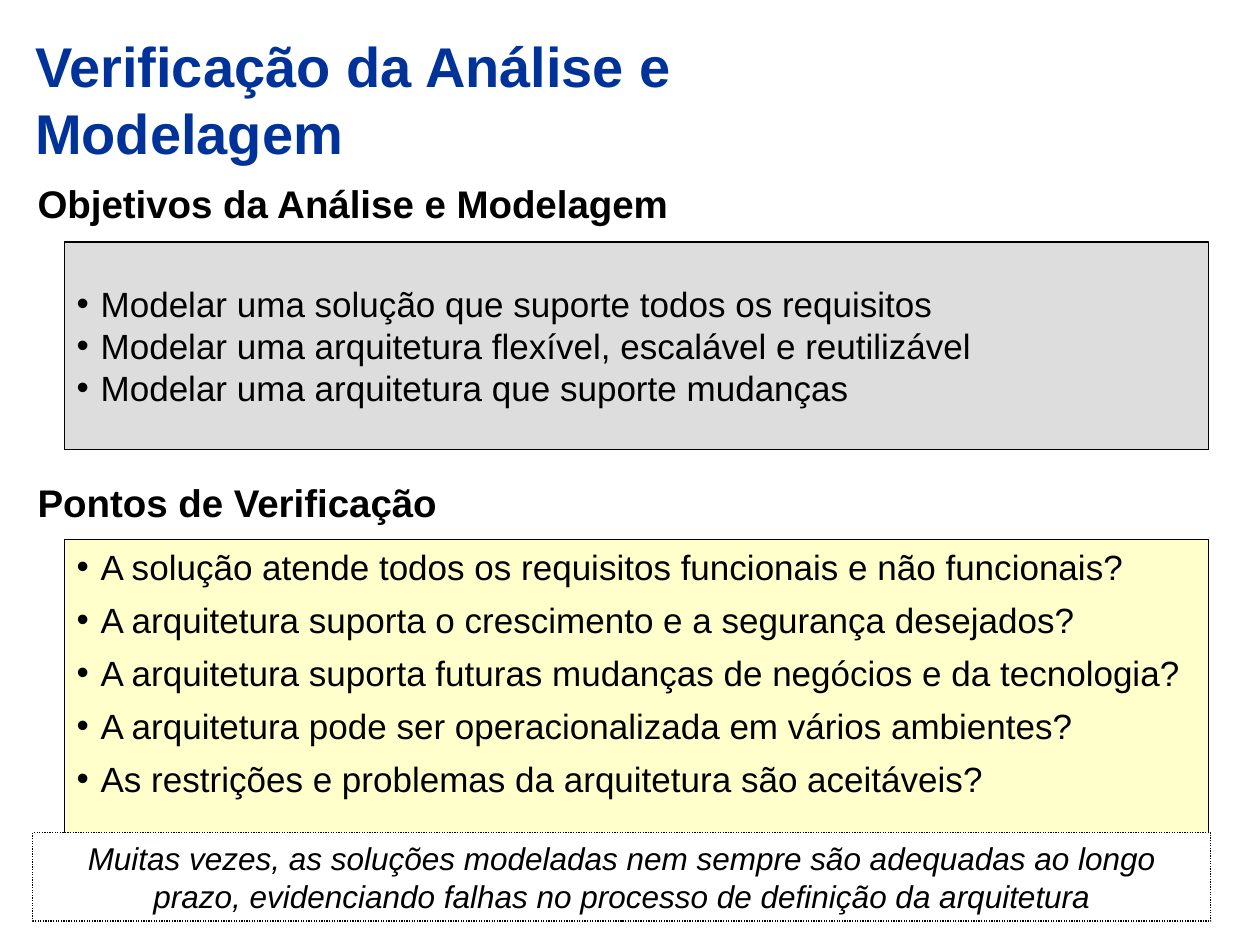
from lxml.etree import SubElement
from pptx import Presentation
from pptx.dml.color import RGBColor
from pptx.enum.dml import MSO_LINE_DASH_STYLE as Dash
from pptx.enum.shapes import MSO_SHAPE as Shape
from pptx.enum.text import MSO_ANCHOR as Anchor, PP_ALIGN as Align
from pptx.oxml.ns import qn
from pptx.util import Inches, Pt

FONT = "Arial"
BLACK, BLUE, GRAY, YELLOW, WHITE = "000000", "003399", "DDDDDD", "FFFFCC", "FFFFFF"
PANEL_LEFT, PANEL_WIDTH = 0.51, 9.08

GOALS = [
    "Modelar uma solução que suporte todos os requisitos",
    "Modelar uma arquitetura flexível, escalável e reutilizável",
    "Modelar uma arquitetura que suporte mudanças",
]
CHECKPOINTS = [
    "A solução atende todos os requisitos funcionais e não funcionais?",
    "A arquitetura suporta o crescimento e a segurança desejados?",
    "A arquitetura suporta futuras mudanças de negócios e da tecnologia?",
    "A arquitetura pode ser operacionalizada em vários ambientes?",
    "As restrições e problemas da arquitetura são aceitáveis?",
]
REMARK = ("Muitas vezes, as soluções modeladas nem sempre são adequadas ao longo "
          "prazo, evidenciando falhas no processo de definição da arquitetura")


def color(value):
    return RGBColor.from_string(value)


def add_bullet(paragraph, indent=0.19):
    properties = paragraph._p.get_or_add_pPr()
    properties.set("marL", str(Inches(indent)))
    properties.set("indent", str(-Inches(indent)))
    bullet_color = SubElement(properties, qn("a:buClr"))
    SubElement(bullet_color, qn("a:srgbClr"), val=BLACK)
    SubElement(properties, qn("a:buFont"), typeface=FONT)
    SubElement(properties, qn("a:buChar"), char="•")


def write_text(shape, lines, size=20, fill=BLACK, bold=False, italic=False,
               align=Align.LEFT, anchor=Anchor.TOP, bullets=False, space_after=0):
    frame = shape.text_frame
    frame.word_wrap = True
    frame.vertical_anchor = anchor
    for index, line in enumerate(lines):
        paragraph = frame.add_paragraph() if index else frame.paragraphs[0]
        paragraph.alignment = align
        paragraph.space_after = Pt(space_after)
        if bullets:
            add_bullet(paragraph)
        run = paragraph.add_run()
        run.text = line
        font = run.font
        font.name, font.size = FONT, Pt(size)
        font.bold, font.italic = bold, italic
        font.color.rgb = color(fill)


def add_heading(slide, text, left, top, width, height, **text_format):
    box = slide.shapes.add_textbox(Inches(left), Inches(top), Inches(width), Inches(height))
    write_text(box, [text], bold=True, **text_format)


def add_panel(slide, lines, left, top, width, height, background, dash=None, **text_format):
    panel = slide.shapes.add_shape(
        Shape.RECTANGLE, Inches(left), Inches(top), Inches(width), Inches(height))
    panel.shadow.inherit = False
    panel.fill.solid()
    panel.fill.fore_color.rgb = color(background)
    panel.line.color.rgb = color(BLACK)
    panel.line.width = Pt(0.75)
    if dash:
        panel.line.dash_style = dash
    write_text(panel, lines, **text_format)


def main():
    presentation = Presentation()
    presentation.slide_width, presentation.slide_height = Inches(10), Inches(7.5)
    slide = presentation.slides.add_slide(presentation.slide_layouts[6])

    # Title
    add_heading(slide, "Verificação da Análise e Modelagem", 0.18, 0.28, 7.68, 1.01,
                size=32, fill=BLUE, anchor=Anchor.MIDDLE)

    # Goals
    add_heading(slide, "Objetivos da Análise e Modelagem", 0.2, 1.38, 9.61, 0.55, size=22)
    add_panel(slide, GOALS, PANEL_LEFT, 1.92, PANEL_WIDTH, 1.65, GRAY,
              anchor=Anchor.MIDDLE, bullets=True)

    # Checkpoints
    add_heading(slide, "Pontos de Verificação", 0.2, 3.75, 9.61, 0.55, size=22)
    add_panel(slide, CHECKPOINTS, PANEL_LEFT, 4.28, PANEL_WIDTH, 2.51, YELLOW,
              bullets=True, space_after=6.2)

    # Closing remark, over the foot of the checkpoints
    add_panel(slide, [REMARK], 0.26, 6.61, 9.35, 0.7, WHITE, dash=Dash.ROUND_DOT,
              size=18, italic=True, align=Align.CENTER)

    presentation.save("out.pptx")


if __name__ == "__main__":
    main()
